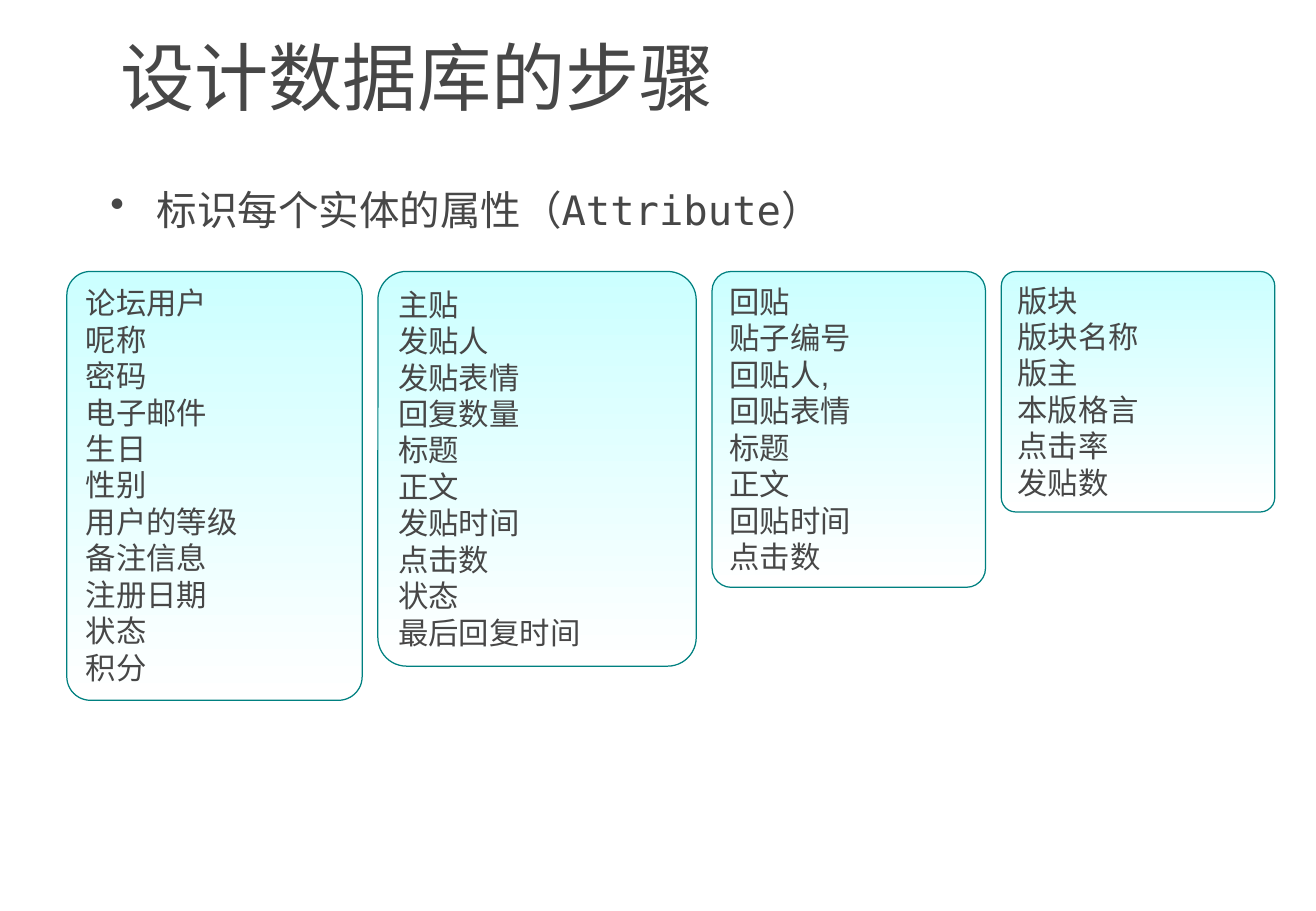
import pptx
import pptx.util
import pptx.dml.color
import pptx.enum.shapes
import pptx.enum.text
import pptx.oxml.ns
from lxml import etree

INK = pptx.dml.color.RGBColor(0x47, 0x47, 0x47)
TEAL = pptx.dml.color.RGBColor(0x00, 0x80, 0x80)
AQUA = pptx.dml.color.RGBColor(0xCC, 0xFF, 0xFF)
WHITE = pptx.dml.color.RGBColor(0xFF, 0xFF, 0xFF)

ENTITIES = [
    (22.44, 47.07, 0.08, ["论坛用户", "呢称", "密码", "电子邮件", "生日", "性别",
                          "用户的等级", "备注信息", "注册日期", "状态", "积分"]),
    (24.19, 43.33, 0.09, ["主贴", "发贴人", "发贴表情", "回复数量", "标题", "正文",
                          "发贴时间", "点击数", "状态", "最后回复时间"]),
    (20.78, 34.67, 0.07, ["回贴", "贴子编号", "回贴人,", "回贴表情", "标题", "正文",
                          "回贴时间", "点击数"]),
    (20.78, 26.4, 0.06, ["版块", "版块名称", "版主", "本版格言", "点击率", "发贴数"]),
]
LEFT, TOP, GAP = 5.08, 29.8, 1.2


class Deck:
    font = "Arial"
    mono = "DejaVu Sans Mono"

    def __init__(self):
        self.prs = pptx.Presentation()
        self.prs.slide_width = pptx.util.Inches(10.83)
        self.prs.slide_height = pptx.util.Inches(7.5)
        self.s = self.prs.slides.add_slide(self.prs.slide_layouts[5])

    def box(self, left, top, width, height):
        w, h = self.prs.slide_width, self.prs.slide_height
        return [int(share * side / 100)
                for share, side in zip((left, top, width, height), (w, h, w, h))]

    def set_text(self, tf, text, size, font, align):
        tf.text = text
        tf.word_wrap = True
        tf.vertical_anchor = pptx.enum.text.MSO_ANCHOR.TOP
        for p in tf.paragraphs:
            p.alignment = align
            for r in p.runs:
                r.font.size = pptx.util.Pt(size)
                r.font.name = font
                r.font.color.rgb = INK

    def title(self, text, *share):
        sp = self.s.shapes.title
        sp.left, sp.top, sp.width, sp.height = self.box(*share)
        self.set_text(sp.text_frame, text, 44, self.font, pptx.enum.text.PP_ALIGN.CENTER)
        sp.text_frame.auto_size = pptx.enum.text.MSO_AUTO_SIZE.NONE

    def bullet(self, text, *share):
        tf = self.s.shapes.add_textbox(*self.box(*share)).text_frame
        self.set_text(tf, text, 24, self.mono, pptx.enum.text.PP_ALIGN.LEFT)
        pPr = tf.paragraphs[0]._p.get_or_add_pPr()
        indent = pptx.util.Inches(0.38)
        pPr.set("marL", str(indent))
        pPr.set("indent", str(-indent))
        etree.SubElement(pPr, pptx.oxml.ns.qn("a:buChar")).set("char", "•")

    def card(self, lines, radius, *share):
        sp = self.s.shapes.add_shape(
            pptx.enum.shapes.MSO_SHAPE.ROUNDED_RECTANGLE, *self.box(*share))
        sp.adjustments[0] = radius
        sp.shadow.inherit = False
        sp.fill.gradient()
        sp.fill.gradient_angle = 270
        for stop, color in zip(sp.fill.gradient_stops, (AQUA, WHITE)):
            stop.color.rgb = color
        sp.line.color.rgb = TEAL
        sp.line.width = pptx.util.Pt(0.75)
        self.set_text(sp.text_frame, "\n".join(lines), 18, self.font,
                      pptx.enum.text.PP_ALIGN.LEFT)
        sp.text_frame.auto_size = pptx.enum.text.MSO_AUTO_SIZE.SHAPE_TO_FIT_TEXT


def main():
    deck = Deck()
    deck.title("设计数据库的步骤", 5.08, 2.8, 53.28, 8.93)
    left = LEFT
    for width, height, radius, lines in ENTITIES:
        deck.card(lines, radius, left, TOP, width, height)
        left += width + GAP
    deck.bullet("标识每个实体的属性（Attribute）", 7.48, 19.6, 90.03, 11.47)
    deck.prs.save("out.pptx")


if __name__ == "__main__":
    main()
